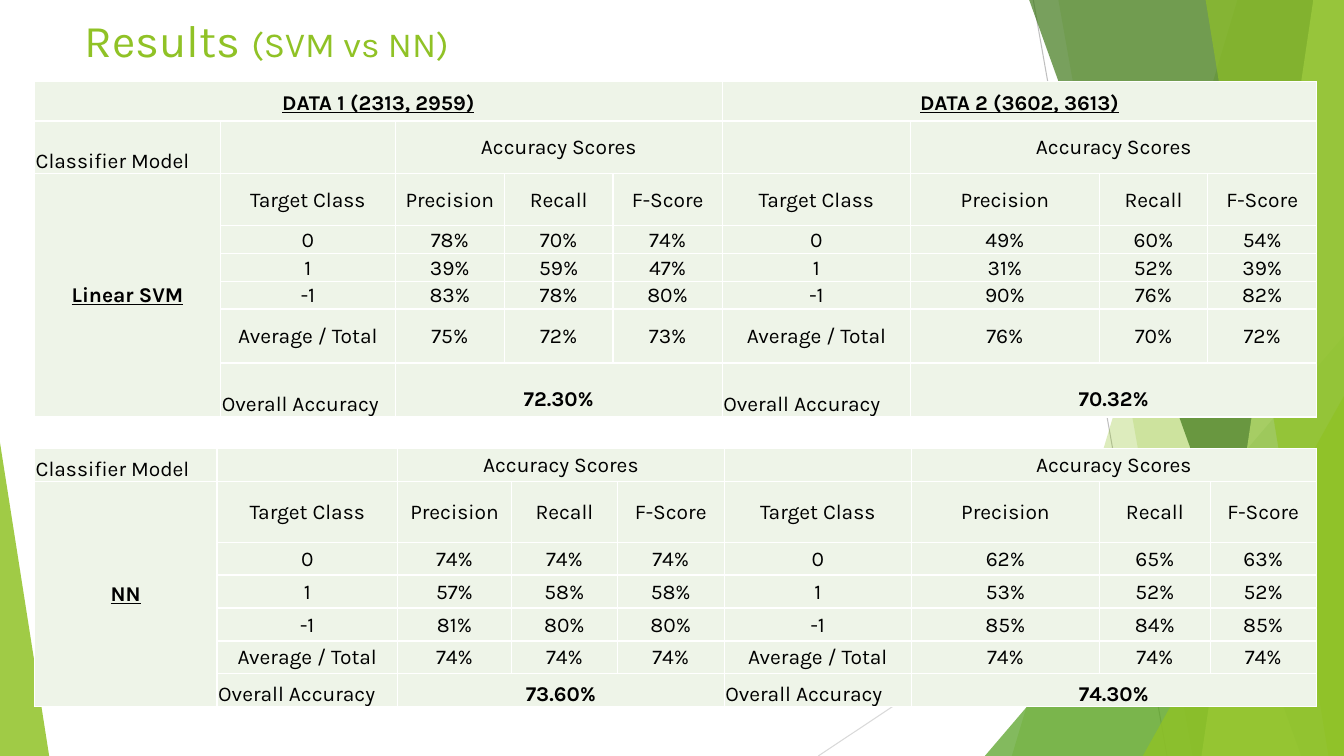
from lxml.etree import SubElement
from pptx import Presentation
from pptx.dml.color import RGBColor
from pptx.enum.shapes import MSO_CONNECTOR, MSO_SHAPE
from pptx.enum.text import MSO_ANCHOR, MSO_AUTO_SIZE, PP_ALIGN
from pptx.oxml.ns import qn
from pptx.util import Cm, Pt

WIDE, HIGH = 33.87, 19.05
FONT, GREEN, PALE = "Karla", "90C226", "EEF4E8"
HEADS = ["Target Class", "Precision", "Recall", "F-Score"]
HALVES = (1, 5)  # first column of each data set


def paint(fill, color, alpha=100):
    """Fill with a colour at a given percentage of opacity."""
    fill.solid()
    fill.fore_color.rgb = RGBColor.from_string(color)
    if alpha < 100:
        tint = fill._xPr.find(".//" + qn("a:srgbClr"))
        SubElement(tint, qn("a:alpha"), val=str(alpha * 1000))


def style(font, size, color, bold=False):
    font.name, font.size, font.bold = FONT, Pt(size), bold
    font.color.rgb = RGBColor.from_string(color)


def add_line(slide, start, end, color):
    line = slide.shapes.add_connector(
        MSO_CONNECTOR.STRAIGHT, *map(Cm, start + end))
    line.line.width = Pt(0.75)
    paint(line.line.fill, color)
    SubElement(line.element.spPr, qn("a:effectLst"))


def finish(shape, color, alpha):
    paint(shape.fill, color, alpha)
    shape.line.fill.background()
    shape.shadow.inherit = False


def add_veil(slide, top, foot, color, alpha):
    """Full-height band from a slanted left edge to the slide's right edge."""
    form = slide.shapes.build_freeform(Cm(top), Cm(-0.02))
    form.add_line_segments(
        [(Cm(x), Cm(y)) for x, y in
         ((WIDE, -0.02), (WIDE, HIGH), (foot, HIGH))])
    finish(form.convert_to_shape(), color, alpha)


def add_peak(slide, left, top, width, tip, color, alpha):
    """Triangle standing on the slide's bottom edge."""
    peak = slide.shapes.add_shape(
        MSO_SHAPE.ISOSCELES_TRIANGLE, Cm(left), Cm(top), Cm(width),
        Cm(HIGH - top))
    peak.adjustments[0] = tip
    finish(peak, color, alpha)


def add_decor(slide):
    add_line(slide, (26.04, 0), (29.41, HIGH), "BFBFBF")
    add_line(slide, (WIDE, 10.24), (20.62, HIGH), "D9D9D9")
    add_veil(slide, 31.19, 25.5, GREEN, 30)
    add_veil(slide, 26.67, 30.05, GREEN, 20)
    add_peak(slide, 24.82, 8.46, 9.05, 1, "54A021", 72)
    add_veil(slide, 25.93, 32.79, "3F7819", 70)
    add_veil(slide, 33.1, 30.28, "C0E474", 70)
    add_veil(slide, 30.38, 33.48, GREEN, 65)
    add_peak(slide, 28.8, 9.98, 5.07, 1, GREEN, 80)
    add_peak(slide, 0, 11.15, 1.24, 0, GREEN, 85)


def add_title(slide):
    title = slide.shapes.title
    slide.shapes.element.append(title.element)  # in front of the decor
    title.left, title.top = Cm(1.88), Cm(0.13)
    title.width, title.height = Cm(23.88), Cm(1.7)
    frame = title.text_frame
    frame.auto_size = MSO_AUTO_SIZE.NONE
    frame.vertical_anchor = MSO_ANCHOR.MIDDLE
    para = frame.paragraphs[0]
    para.alignment = PP_ALIGN.LEFT
    for text, size in (("Results ", 32.4), ("(SVM vs NN)", 25.2)):
        run = para.add_run()
        run.text = text
        style(run.font, size, GREEN)


def write(cell, text, bold=False, under=False, low=False, left=False, pad=0):
    cell.text = text
    cell.vertical_anchor = MSO_ANCHOR.BOTTOM if low else MSO_ANCHOR.MIDDLE
    cell.margin_bottom = Cm(pad)
    para = cell.text_frame.paragraphs[0]
    para.alignment = PP_ALIGN.LEFT if left else PP_ALIGN.CENTER
    style(para.font, 15, "000000", bold)
    para.font.underline = under


def dress(cell):
    """Pale fill, white borders and tight margins."""
    cell.margin_left = cell.margin_right = cell.margin_top = Cm(0.03)
    cell.margin_bottom = 0
    props = cell._tc.get_or_add_tcPr()
    for side in ("lnL", "lnR", "lnT", "lnB"):
        edge = SubElement(props, qn("a:" + side), w=str(Pt(1)))
        fill = SubElement(edge, qn("a:solidFill"))
        SubElement(fill, qn("a:srgbClr"), val="FFFFFF")
    paint(cell.fill, PALE)


def add_table(slide, top, cols, rows, model, scores, totals, sets=(), pad=0):
    """Score table; scores has one row per class with both sets side by side."""
    grid = slide.shapes.add_table(
        len(rows), len(cols), Cm(0.87), Cm(top), Cm(sum(cols)),
        Cm(sum(rows))).table
    grid.first_row = grid.horz_banding = False
    for col, width in zip(grid.columns, cols):
        col.width = Cm(width)
    for row, height in zip(grid.rows, rows):
        row.height = Cm(height)
    for cell in grid.iter_cells():
        dress(cell)

    head, last = len(rows) - 7, len(rows) - 1
    for name, (start, end) in zip(sets, ((0, 4), (5, 8))):
        grid.cell(0, start).merge(grid.cell(0, end))
        write(grid.cell(0, start), name, True, True, low=True, pad=pad)
    write(grid.cell(head, 0), "Classifier Model", low=True, left=True)
    grid.cell(head + 1, 0).merge(grid.cell(last, 0))
    write(grid.cell(head + 1, 0), model, True, True)

    for start, total in zip(HALVES, totals):
        for row in (head, last):
            grid.cell(row, start + 1).merge(grid.cell(row, start + 3))
        write(grid.cell(head, start + 1), "Accuracy Scores")
        write(grid.cell(last, start), "Overall Accuracy", low=True, left=True)
        write(grid.cell(last, start + 1), total, True, low=True, pad=pad)

    names = ("0", "1", "-1", "Average / Total")
    body = [HEADS * 2]
    for name, line in zip(names, scores):
        marks = [f"{score}%" for score in line]
        body.append([name] + marks[:3] + [name] + marks[3:])
    for row, line in enumerate(body, head + 1):
        for col, text in enumerate(line, 1):
            write(grid.cell(row, col), text)


def main():
    deck = Presentation()
    deck.slide_width, deck.slide_height = Cm(WIDE), Cm(HIGH)
    slide = deck.slides.add_slide(deck.slide_layouts[5])
    add_decor(slide)
    add_title(slide)
    add_table(
        slide, 2.06,
        [4.69, 4.4, 2.75, 2.74, 2.75, 4.75, 4.75, 2.74, 2.74],
        [0.99, 1.32, 1.32, 0.7, 0.7, 0.7, 1.36, 1.36],
        "Linear SVM",
        [(78, 70, 74, 49, 60, 54), (39, 59, 47, 31, 52, 39),
         (83, 78, 80, 90, 76, 82), (75, 72, 73, 76, 70, 72)],
        ("72.30%", "70.32%"),
        ("DATA 1 (2313, 2959)", "DATA 2 (3602, 3613)"), 0.13)
    add_table(
        slide, 11.3,
        [4.6, 4.55, 2.87, 2.67, 2.69, 4.72, 4.74, 2.79, 2.67],
        [0.83, 1.53] + [0.83] * 5,
        "NN",
        [(74, 74, 74, 62, 65, 63), (57, 58, 58, 53, 52, 52),
         (81, 80, 80, 85, 84, 85), (74, 74, 74, 74, 74, 74)],
        ("73.60%", "74.30%"))
    deck.save("out.pptx")


if __name__ == "__main__":
    main()
